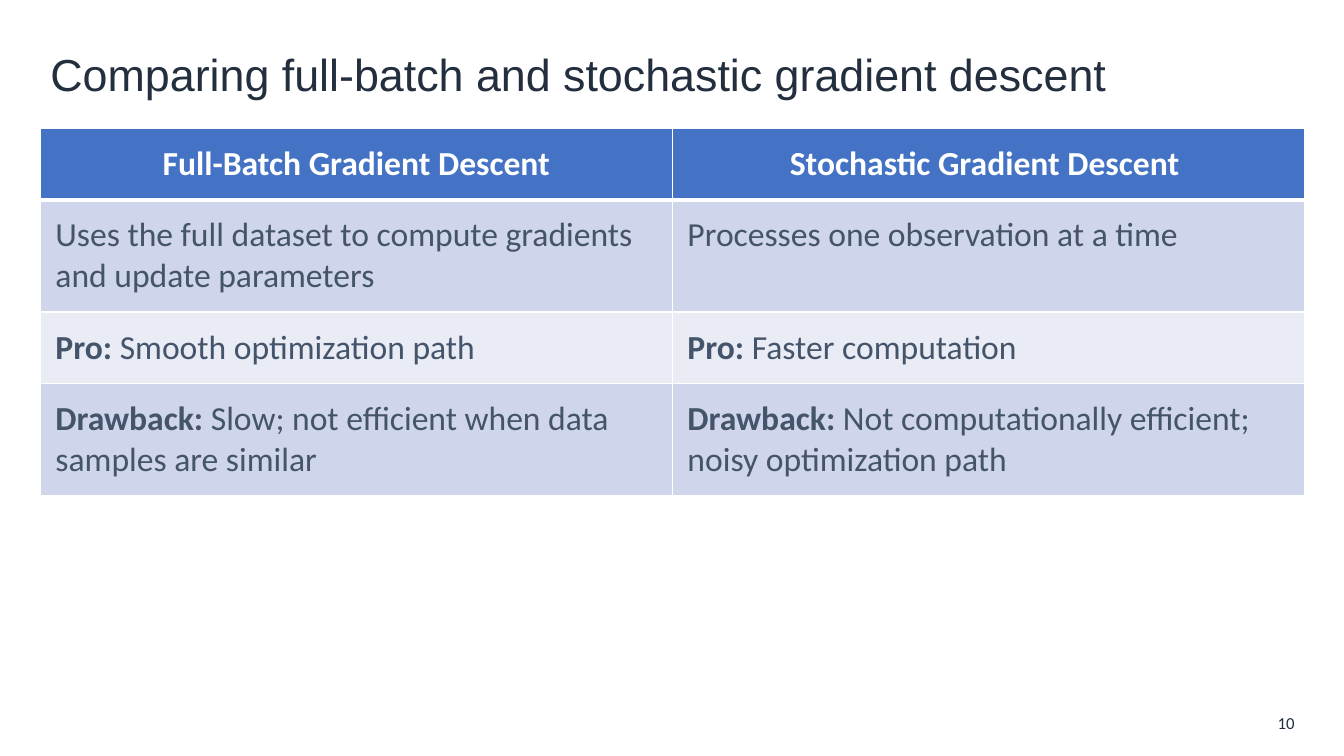
import pptx
import pptx.dml.color
import pptx.enum.text
import pptx.oxml
import pptx.oxml.ns
import pptx.util

Pt = pptx.util.Pt
ALIGN = pptx.enum.text.PP_ALIGN
MIDDLE = pptx.enum.text.MSO_ANCHOR.MIDDLE

NAVY = "232F3E"
SLATE = "44546A"
WHITE = "FFFFFF"
HEADER_BLUE = "4472C4"
BANDS = ["CFD5EA", "E9EBF5"]

HEADERS = ["Full-Batch Gradient Descent", "Stochastic Gradient Descent "]
COMPARISON = [
    [("", "Uses the full dataset to compute gradients and update parameters"),
     ("", "Processes one observation at a time")],
    [("Pro:", " Smooth optimization path"),
     ("Pro:", " Faster computation")],
    [("Drawback:", " Slow; not efficient when data samples are similar"),
     ("Drawback:", " Not computationally efficient; noisy optimization path")],
]
ROW_HEIGHTS = [50.9, 80.2, 50.9, 80.2]


def rgb(color):
    return pptx.dml.color.RGBColor.from_string(color)


def add_text(paragraph, text, size=24, font="Calibri", color=SLATE, bold=False,
             align=ALIGN.LEFT):
    paragraph.alignment = align
    run = paragraph.add_run()
    run.text = text
    run.font.size = Pt(size)
    run.font.name = font
    run.font.color.rgb = rgb(color)
    run.font.bold = bold


def set_borders(cell, bottom_width):
    properties = cell._tc.get_or_add_tcPr()
    widths = {"lnL": 1, "lnR": 1, "lnT": 1, "lnB": bottom_width}
    for index, (side, width) in enumerate(widths.items()):
        border = pptx.oxml.parse_xml(
            f'<a:{side} {pptx.oxml.ns.nsdecls("a")} w="{Pt(width)}">'
            f'<a:solidFill><a:srgbClr val="{WHITE}"/></a:solidFill></a:{side}>')
        properties.insert(index, border)


def format_cell(cell, fill, bottom_width=1):
    cell.fill.solid()
    cell.fill.fore_color.rgb = rgb(fill)
    cell.margin_left = cell.margin_right = Pt(10.8)
    cell.margin_top = cell.margin_bottom = Pt(10.8)
    set_borders(cell, bottom_width)


def add_title(slide, text, left, top, width, height):
    title = slide.shapes.title
    title.left, title.top = Pt(left), Pt(top)
    title.width, title.height = Pt(width), Pt(height)
    frame = title.text_frame
    frame.vertical_anchor = MIDDLE
    add_text(frame.paragraphs[0], text, size=32, font="Arial", color=NAVY)


def add_comparison_table(slide, left, top, width):
    table = slide.shapes.add_table(
        len(COMPARISON) + 1, len(HEADERS), Pt(left), Pt(top), Pt(width),
        Pt(sum(ROW_HEIGHTS))).table
    for row, height in zip(table.rows, ROW_HEIGHTS):
        row.height = Pt(height)
    for column, header in enumerate(HEADERS):
        table.columns[column].width = Pt(width / len(HEADERS))
        cell = table.cell(0, column)
        format_cell(cell, HEADER_BLUE, bottom_width=3)
        add_text(cell.text_frame.paragraphs[0], header, color=WHITE, bold=True,
                 align=ALIGN.CENTER)
    for row, entries in enumerate(COMPARISON):
        for column, (label, description) in enumerate(entries):
            cell = table.cell(row + 1, column)
            format_cell(cell, BANDS[row % 2])
            paragraph = cell.text_frame.paragraphs[0]
            if label:
                add_text(paragraph, label, bold=True)
            add_text(paragraph, description)


def add_page_number(slide, number, left, top, width, height):
    frame = slide.shapes.add_textbox(
        Pt(left), Pt(top), Pt(width), Pt(height)).text_frame
    frame.word_wrap = True
    frame.vertical_anchor = MIDDLE
    add_text(frame.paragraphs[0], number, size=12, color=NAVY, align=ALIGN.RIGHT)


def build_comparison_slide(presentation, left, width):
    slide = presentation.slides.add_slide(presentation.slide_layouts[5])
    add_title(slide, "Comparing full-batch and stochastic gradient descent",
              left, 23.8, width, 57.6)
    add_comparison_table(slide, left, 91.8, width)
    number_width = 38
    add_page_number(slide, "10", left + width - number_width, 507.6,
                    number_width, 18)


def main():
    presentation = pptx.Presentation()
    presentation.slide_width = Pt(960)
    presentation.slide_height = Pt(540)
    build_comparison_slide(presentation, left=28.8, width=903)
    presentation.save("out.pptx")


if __name__ == "__main__":
    main()
